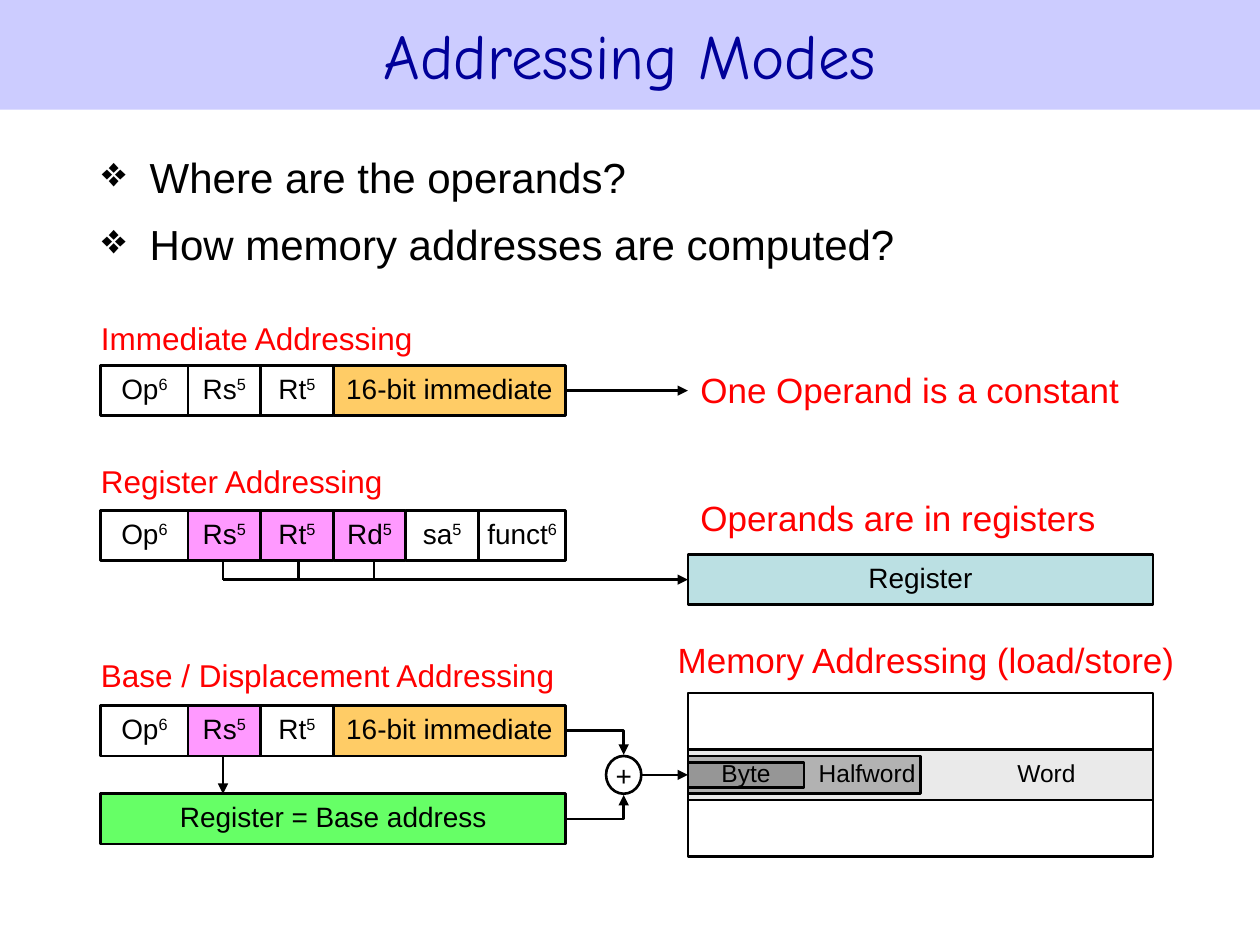
from lxml import etree
from pptx import Presentation
from pptx.dml.color import RGBColor
from pptx.enum.shapes import MSO_CONNECTOR, MSO_SHAPE
from pptx.enum.text import MSO_ANCHOR, PP_ALIGN
from pptx.oxml.ns import qn
from pptx.util import Inches, Pt

RECT, OVAL = MSO_SHAPE.RECTANGLE, MSO_SHAPE.OVAL
STRAIGHT, ELBOW = MSO_CONNECTOR.STRAIGHT, MSO_CONNECTOR.ELBOW
TOP, MIDDLE = MSO_ANCHOR.TOP, MSO_ANCHOR.MIDDLE
LEFT, CENTER = PP_ALIGN.LEFT, PP_ALIGN.CENTER

COLORS = {
    "banner": "CCCCFF", "title": "000099", "black": "000000", "white": "FFFFFF",
    "red": "FF0000", "pink": "FF99FF", "orange": "FFCC66", "green": "66FF66",
    "teal": "BBE0E3", "word": "EAEAEA", "halfword": "B2B2B2", "byte": "969696",
}
TITLE = "Addressing Modes"
QUESTIONS = ["Where are the operands?", "How memory addresses are computed?"]

FORMAT_LEFT, FORMAT_WIDTH, FIELD_HEIGHT = 0.8, 3.69, 0.4
FORMAT_RIGHT = FORMAT_LEFT + FORMAT_WIDTH
TARGET_LEFT = 5.46
BITS_IN_WORD = 32
ADDER_X, ADDER_Y, ADDER_WIDTH, ADDER_HEIGHT = 4.95, 6.15, 0.28, 0.3

# Each format: heading, heading top and height, row top, fields (name, bits, superscript, colour)
FORMATS = [
    ("Immediate Addressing", 2.49, 0.38, 2.9, [
        ("Op", 6, "6", "white"), ("Rs", 5, "5", "white"), ("Rt", 5, "5", "white"),
        ("16-bit immediate", 16, "", "orange")]),
    ("Register Addressing", 3.62, 0.39, 4.05, [
        ("Op", 6, "6", "white"), ("Rs", 5, "5", "pink"), ("Rt", 5, "5", "pink"),
        ("Rd", 5, "5", "pink"), ("sa", 5, "5", "white"), ("funct", 6, "6", "white")]),
    ("Base / Displacement Addressing", 5.14, 0.43, 5.6, [
        ("Op", 6, "6", "white"), ("Rs", 5, "5", "pink"), ("Rt", 5, "5", "white"),
        ("16-bit immediate", 16, "", "orange")]),
]
# Text, left, top, width, height, anchor
RESULTS = [
    ("One Operand is a constant", TARGET_LEFT, 2.93, 3.7, 0.32, MIDDLE),
    ("Operands are in registers", TARGET_LEFT, 3.94, 3.7, 0.38, TOP),
    ("Memory Addressing (load/store)", 5.28, 5.07, 4.2, 0.4, TOP),
]
# Text, left, top, width, height, colour, size, indent
STORAGE = [
    ("Register", TARGET_LEFT, 4.4, FORMAT_WIDTH, 0.4, "teal", 16, 0),
    ("Register = Base address", FORMAT_LEFT, 6.3, FORMAT_WIDTH, 0.4, "green", 16, 0),
    ("Word", TARGET_LEFT, 5.95, FORMAT_WIDTH, 0.4, "word", 14, 2),
    ("", TARGET_LEFT, 5.5, FORMAT_WIDTH, 1.3, None, 14, 0),
    ("Halfword", TARGET_LEFT, 6, FORMAT_WIDTH / 2, 0.3, "halfword", 14, 1),
    ("Byte", TARGET_LEFT, 6.05, FORMAT_WIDTH / 4, 0.2, "byte", 14, 0),
]
REGISTER_STEMS = [1.77, 2.37, 2.97]
# Kind, start x, start y, end x, end y, has arrowhead
WIRES = [
    (STRAIGHT, FORMAT_RIGHT, 3.1, TARGET_LEFT, 3.1, True),
    (STRAIGHT, REGISTER_STEMS[0], 4.6, TARGET_LEFT, 4.6, True),
    *[(STRAIGHT, x, 4.45, x, 4.6, False) for x in REGISTER_STEMS],
    (STRAIGHT, REGISTER_STEMS[0], 6, REGISTER_STEMS[0], 6.3, True),
    (ELBOW, FORMAT_RIGHT, 5.8, ADDER_X, 5.99, True),
    (ELBOW, FORMAT_RIGHT, 6.5, ADDER_X, 6.31, True),
    (STRAIGHT, ADDER_X + ADDER_WIDTH / 2, ADDER_Y, TARGET_LEFT, ADDER_Y, True),
]

prs = Presentation()
prs.slide_width, prs.slide_height = Inches(10), Inches(7.5)
slide = prs.slides.add_slide(prs.slide_layouts[6])


def rgb(name):
    """Return the named colour."""
    return RGBColor.from_string(COLORS[name])


def style_run(run, size, color="black", font="Arial"):
    """Set the font of one run."""
    run.font.size, run.font.name = Pt(size), font
    run.font.color.rgb = rgb(color)


def set_frame(frame, anchor, side=0, edge=0):
    """Set wrapping, anchor and margins of a text frame."""
    frame.word_wrap, frame.vertical_anchor = True, anchor
    frame.margin_left = frame.margin_right = Inches(side)
    frame.margin_top = frame.margin_bottom = Inches(edge)


def add_box(left, top, width, height, fill=None, outline=True, kind=RECT):
    """Add a shape with an optional fill and black outline."""
    box = slide.shapes.add_shape(kind, Inches(left), Inches(top), Inches(width), Inches(height))
    box.shadow.inherit = False
    if fill:
        box.fill.solid()
        box.fill.fore_color.rgb = rgb(fill)
    else:
        box.fill.background()
    if outline:
        box.line.color.rgb, box.line.width = rgb("black"), Pt(1.5)
    else:
        box.line.fill.background()
    return box


def fill_box(box, text, size, superscript="", indent=0):
    """Write centred text, with an optional superscript, into a box."""
    set_frame(box.text_frame, MIDDLE, edge=0.1)
    paragraph = box.text_frame.paragraphs[0]
    paragraph.text, paragraph.alignment, paragraph.line_spacing = text, CENTER, 0.85
    if superscript:
        paragraph.add_run().text = superscript
    for run in paragraph.runs:
        style_run(run, size)
    if superscript:
        paragraph.runs[-1].font._element.set("baseline", "30000")
    if indent:
        paragraph._p.get_or_add_pPr().set("marL", str(Inches(indent)))


def add_label(text, left, top, width, height, size, anchor, side=0):
    """Add a red label."""
    label = slide.shapes.add_textbox(Inches(left), Inches(top), Inches(width), Inches(height))
    set_frame(label.text_frame, anchor, side)
    label.text_frame.text = text
    style_run(label.text_frame.paragraphs[0].runs[0], size, "red")


def add_wire(kind, x1, y1, x2, y2, arrow):
    """Add a black connector; an elbow turns once, across then up or down."""
    wire = slide.shapes.add_connector(kind, Inches(x1), Inches(y1), Inches(x2), Inches(y2))
    wire.line.color.rgb, wire.line.width = rgb("black"), Pt(1.5)
    properties = wire._element.spPr
    if kind == ELBOW:
        properties.find(qn("a:prstGeom")).set("prst", "bentConnector2")
    if arrow:
        etree.SubElement(wire.line._get_or_add_ln(), qn("a:tailEnd"), type="triangle")
    etree.SubElement(properties, qn("a:effectLst"))


banner = add_box(0, 0, 10, 0.87, "banner", outline=False)
set_frame(banner.text_frame, MIDDLE)
banner.text_frame.text = TITLE
heading = banner.text_frame.paragraphs[0]
heading.alignment = CENTER
style_run(heading.runs[0], 36, "title", "Comic Neue")

questions = slide.shapes.add_textbox(Inches(0.71), Inches(1.15), Inches(8.39), Inches(1.15))
set_frame(questions.text_frame, TOP, 0.1, 0.05)
questions.text_frame.text = "\n".join(QUESTIONS)
for question in questions.text_frame.paragraphs:
    question.alignment, question.space_before = LEFT, Pt(9.6)
    style_run(question.runs[0], 24)
    bullet = question._p.get_or_add_pPr()
    bullet.set("marL", str(Inches(0.38)))
    bullet.set("indent", str(Inches(-0.38)))
    etree.SubElement(bullet, qn("a:buChar"), char="❖")

for name, name_top, name_height, row_top, fields in FORMATS:
    add_label(name, FORMAT_LEFT, name_top, FORMAT_WIDTH, name_height, 18, MIDDLE)
    field_left = FORMAT_LEFT
    for field, bits, superscript, color in fields:
        field_width = FORMAT_WIDTH * bits / BITS_IN_WORD
        fill_box(add_box(field_left, row_top, field_width, FIELD_HEIGHT, color),
                 field, 16, superscript)
        field_left += field_width

for text, left, top, width, height, anchor in RESULTS:
    add_label(text, left, top, width, height, 20, anchor, side=0.1)

for text, left, top, width, height, color, size, indent in STORAGE:
    cell = add_box(left, top, width, height, color)
    if text:
        fill_box(cell, text, size, indent=indent)

adder = add_box(ADDER_X - ADDER_WIDTH / 2, ADDER_Y - ADDER_HEIGHT / 2,
                ADDER_WIDTH, ADDER_HEIGHT, kind=OVAL)
set_frame(adder.text_frame, MIDDLE)
adder.text_frame.text = "+"
plus = adder.text_frame.paragraphs[0]
plus.alignment = CENTER
style_run(plus.runs[0], 16)

for wire_parts in WIRES:
    add_wire(*wire_parts)

prs.save("out.pptx")
